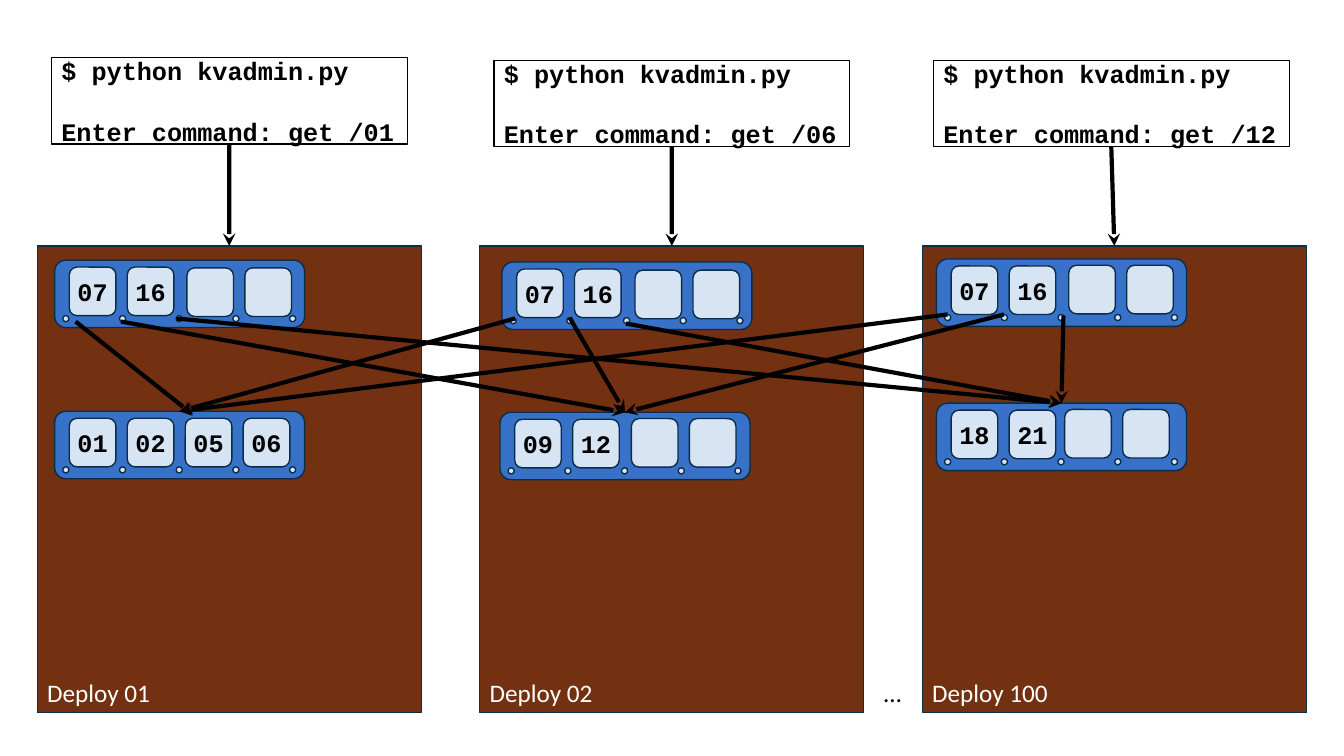
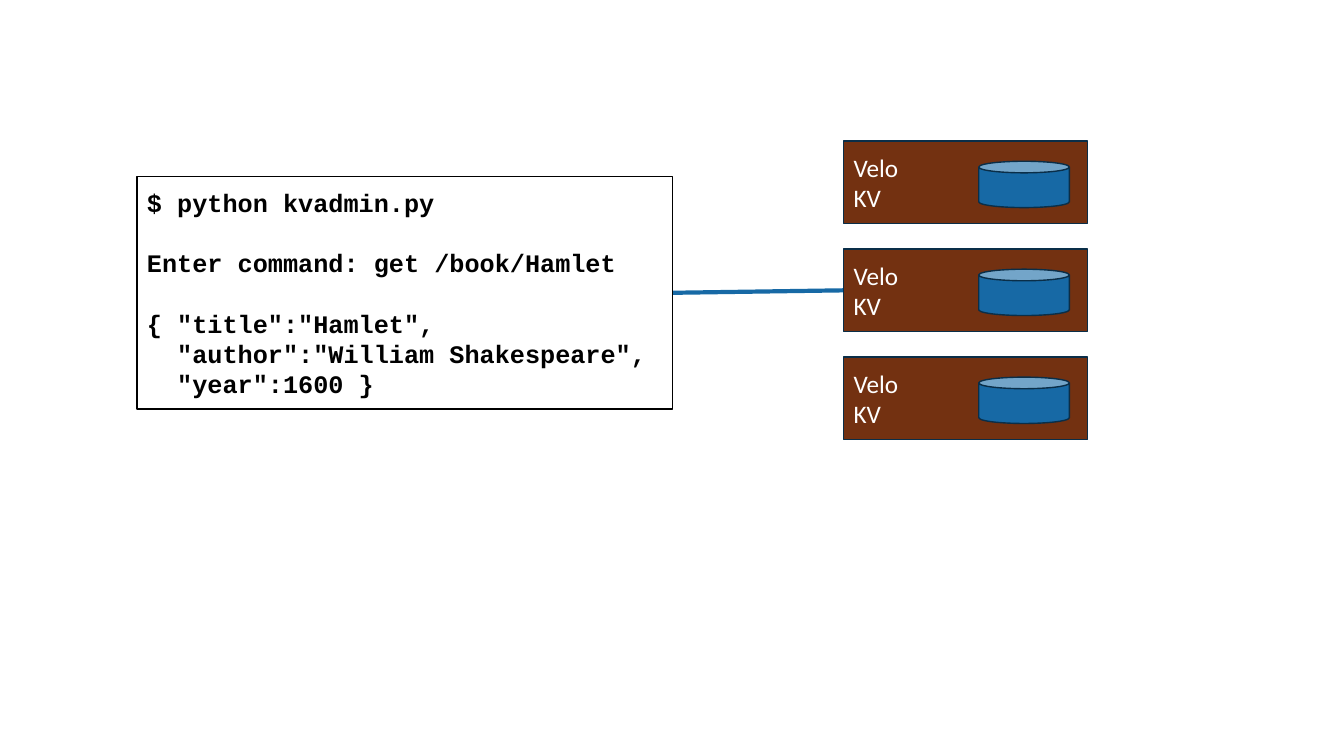
from lxml import etree
from pptx import Presentation
from pptx.dml.color import RGBColor
from pptx.enum import shapes, text
from pptx.oxml.ns import qn
from pptx.util import Pt

# Content, all lengths in points
PANELS = ["Deploy 01", "Deploy 02", "Deploy 100"]
PANEL_BOX = (26.6, 175.7, 274.3, 333.4)
PANEL_STEP = 316.1

PROMPTS = [  # left, top, key
    (36.7, 41.3, "/01"),
    (352.8, 43.2, "/06"),
    (666.7, 43.2, "/12"),
]
PROMPT_SIZE = (254.2, 61.5)

ROOTS = [  # left, top, keys, shift of the empty slots
    (39, 185.8, ["07", "16"], (1.2, 0.6)),
    (358.5, 187.2, ["07", "16"], (1.8, 0.8)),
    (668.9, 185, ["07", "16"], (1.2, -0.5)),
]
LEAVES = [
    (39, 293.8, ["01", "02", "05", "06"], (0, 0)),
    (357.1, 294.5, ["09", "12"], (0.6, -0.5)),
    (668.9, 288, ["18", "21"], (-1.7, -0.5)),
]
BRANCHES = [  # start of the arrows from each root, one per leaf
    [(54, 229.7), (86.4, 229.7), (126, 227.5)],
    [(367.9, 227.5), (406.8, 226.8), (447.1, 231.1)],
    [(676.8, 224.6), (717.1, 224.6), (759.6, 225.4)],
]
LOCAL_END = (137.5, 295.9)  # the first root's arrow to its own leaf

SESSION = [  # text, left indent, space after in lines
    ("$ python kvadmin.py", 0, 1),
    ("Enter command: get /book/Hamlet", 0, 1),
    ('{ "title":"Hamlet",', 0, 0),
    ('"author":"William Shakespeare",', 21.6, 0),
    ('"year":1600 }', 21.6, 0),
]
STORE_NAME = ["Velo", "KV"]
STORE_TOPS = [100.8 + 77.1 * i for i in range(3)]


class Theme:
    panel, edge = "733111", "0A2E48"
    node, slot, dot = "3771C8", "D7E4F4", "D7E5F5"
    store, white, black = "1769A5", "FFFFFF", "000000"
    sans, mono = "Calibri", "Courier New"
    size, line_height = 18, 21.6
    thin, thick = 1, 3


KIND = shapes.MSO_SHAPE
ANCHOR = text.MSO_ANCHOR
ALIGN = text.PP_ALIGN


# Shared helpers
def rgb(code):
    return RGBColor.from_string(code)


def add_box(parent, kind, left, top, width, height, fill, edge=Theme.edge):
    box = parent.shapes.add_shape(kind, Pt(left), Pt(top), Pt(width), Pt(height))
    box.shadow.inherit = False
    box.fill.solid()
    box.fill.fore_color.rgb = rgb(fill)
    box.line.color.rgb = rgb(edge)
    box.line.width = Pt(Theme.thin)
    return box


def write(box, lines, font, color, anchor=ANCHOR.MIDDLE, align=ALIGN.LEFT):
    """Each line is (text, left indent, space after in lines)."""
    frame = box.text_frame
    frame.vertical_anchor = anchor
    frame.text = "\n".join(line for line, _, _ in lines)
    for para, (_, indent, gap) in zip(frame.paragraphs, lines):
        para.alignment = align
        para.space_after = Pt(gap * Theme.line_height)
        if indent:
            para._p.get_or_add_pPr().set("marL", str(Pt(indent)))
        for span in para.runs:
            span.font.name = font
            span.font.size = Pt(Theme.size)
            span.font.bold = font == Theme.mono
            span.font.color.rgb = rgb(color)


def add_line(page, color, start=(0, 0), end=(0, 0), arrow=True):
    line = page.shapes.add_connector(
        shapes.MSO_CONNECTOR.STRAIGHT, *map(Pt, (*start, *end)))
    line.line.color.rgb = rgb(color)
    line.line.width = Pt(Theme.thick)
    properties = line.element.spPr
    if arrow:
        etree.SubElement(properties.find(qn("a:ln")), qn("a:tailEnd"), type="stealth")
    etree.SubElement(properties, qn("a:effectLst"))
    return line


def add_terminal(page, left, top, width, height, lines):
    box = add_box(page, KIND.RECTANGLE, left, top, width, height,
                  Theme.white, Theme.black)
    write(box, lines, Theme.mono, Theme.black)
    return box


def add_node(page, left, top, keys, shift):
    """A tree node: four key slots and five pointer dots. Returns its frame."""
    group = page.shapes.add_group_shape()
    frame = add_box(group, KIND.ROUNDED_RECTANGLE, left, top, 178.6, 48.2, Theme.node)
    for i in range(5):
        add_box(group, KIND.OVAL, left + 5.9 + 40.5 * i, top + 39.7, 4.3, 4.3, Theme.dot)
    for i in range(4):
        dx, dy = (0, 0) if i < len(keys) else shift
        slot = add_box(group, KIND.ROUNDED_RECTANGLE, left + 10.5 + 41.4 * i + dx,
                       top + 5 + dy, 33.3, 34.7, Theme.slot)
        if i < len(keys):
            slot.text_frame.margin_left = slot.text_frame.margin_right = 0
            write(slot, [(keys[i], 0, 0)], Theme.mono, Theme.black, align=ALIGN.CENTER)
    return frame


# Slide 1: three deployments sharing one tree
def build_tree(page):
    left, top, width, height = PANEL_BOX
    panels = []
    for i, name in enumerate(PANELS):
        panel = add_box(page, KIND.RECTANGLE, left + PANEL_STEP * i, top,
                        width, height, Theme.panel)
        write(panel, [(name, 0, 0)], Theme.sans, Theme.white, ANCHOR.BOTTOM)
        panels.append(panel)

    for (x, y, key), panel in zip(PROMPTS, panels):
        prompt = add_terminal(page, x, y, *PROMPT_SIZE, [
            ("$ python kvadmin.py", 0, 1), (f"Enter command: get {key}", 0, 0)])
        arrow = add_line(page, Theme.black)
        arrow.begin_connect(prompt, 2)
        arrow.end_connect(panel, 0)

    more = page.shapes.add_textbox(Pt(624.2), Pt(480.2), Pt(27.4), Pt(29))
    more.text_frame.word_wrap = False
    more.text_frame.auto_size = text.MSO_AUTO_SIZE.SHAPE_TO_FIT_TEXT
    write(more, [("…", 0, 0)], Theme.sans, Theme.black, ANCHOR.TOP)

    for root in ROOTS:
        add_node(page, *root)
    leaves = [add_node(page, *leaf) for leaf in LEAVES]
    for r, starts in enumerate(BRANCHES):
        for n, (start, leaf) in enumerate(zip(starts, leaves)):
            arrow = add_line(page, Theme.black, start, LOCAL_END)
            if (r, n) != (0, 0):
                arrow.end_connect(leaf, 0)


# Slide 2: one client session and three stores
def build_session(page):
    link = add_line(page, Theme.store, arrow=False)
    session = add_terminal(page, 97.9, 126, 382.3, 166.3, SESSION)
    stores = []
    for top in STORE_TOPS:
        group = page.shapes.add_group_shape()
        store = add_box(group, KIND.RECTANGLE, 602.6, top, 174.2, 59, Theme.panel)
        write(store, [(word, 0, 0) for word in STORE_NAME], Theme.sans, Theme.white)
        add_box(group, KIND.CAN, 699.1, top + 14.4, 64.8, 33.1, Theme.store)
        stores.append(store)
    link.begin_connect(session, 3)
    link.end_connect(stores[1], 1)


def main():
    deck = Presentation()
    deck.slide_width, deck.slide_height = Pt(960), Pt(540)
    for build in (build_tree, build_session):
        build(deck.slides.add_slide(deck.slide_layouts[6]))
    deck.save("out.pptx")


if __name__ == "__main__":
    main()
